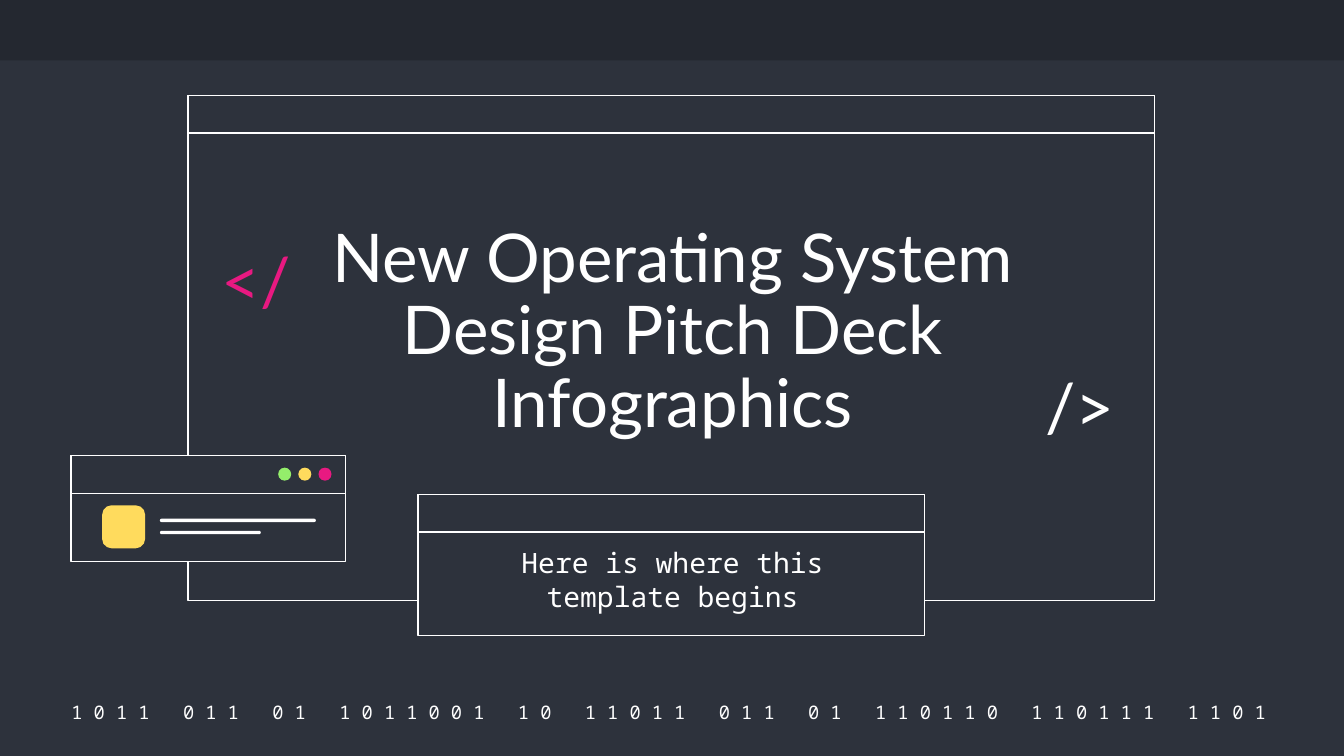
from pptx import Presentation
from pptx.dml.color import RGBColor
from pptx.enum.shapes import MSO_SHAPE
from pptx.enum.text import MSO_ANCHOR, PP_ALIGN
from pptx.util import Inches, Pt

CELL = Inches(0.1)
COLS, ROWS = 100, 56.25
BAR = 2.8
NAVY = RGBColor(0x2D, 0x32, 0x3C)
DARK = RGBColor(0x24, 0x28, 0x30)
WHITE = RGBColor(0xFF, 0xFF, 0xFF)
PINK = RGBColor(0xE8, 0x19, 0x81)
GOLD = RGBColor(0xFF, 0xDB, 0x5D)
GREEN = RGBColor(0x94, 0xEE, 0x6B)
SANS, MONO = "Lato", "Noto Sans Mono"
BITS = "1011 011 01 1011001 10 11011 011 01 110110 110111 1101"


def scale(box):
    return [round(n * CELL) for n in box]


def draw(slide, kind, box, fill, line=None):
    shape = slide.shapes.add_shape(kind, *scale(box))
    shape.shadow.inherit = False
    shape.fill.solid()
    shape.fill.fore_color.rgb = fill
    if line is None:
        shape.line.fill.background()
    else:
        shape.line.color.rgb = line
        shape.line.width = Pt(0.75)
    return shape


def style(run, font, size, color):
    run.font.name = font
    run.font.size = Pt(size)
    run.font.color.rgb = color


def write(slide, box, text, font, size, color=WHITE, anchor=MSO_ANCHOR.MIDDLE,
          align=PP_ALIGN.CENTER, lead=None):
    frame = slide.shapes.add_textbox(*scale(box)).text_frame
    frame.word_wrap = True
    frame.vertical_anchor = anchor
    frame.margin_left = frame.margin_right = CELL
    frame.margin_top = frame.margin_bottom = CELL
    frame.text = text
    para = frame.paragraphs[0]
    para.alignment = align
    para.line_spacing = lead
    for run in para.runs:
        style(run, font, size, color)
    return para


def window(slide, box):
    left, top, width, height = box
    draw(slide, MSO_SHAPE.RECTANGLE, box, NAVY, WHITE)
    draw(slide, MSO_SHAPE.RECTANGLE, (left, top, width, BAR), NAVY, WHITE)


def binary(slide, box):
    para = write(slide, box, "", MONO, 10)
    for index, word in enumerate(BITS.split()):
        if index:
            gap = para.add_run()
            gap.text = " "
            style(gap, MONO, 10, WHITE)
            gap.font._element.set("spc", "1200")
        run = para.add_run()
        run.text = " ".join(word)
        style(run, MONO, 10, WHITE)


def hero(slide, box):
    left, top, width, height = box
    window(slide, box)
    write(slide, (left + 8.6, top + 7, 54.9, 19.8),
          "New Operating System Design Pitch Deck Infographics",
          SANS, 36, anchor=MSO_ANCHOR.BOTTOM, lead=0.9)
    marks = [("</", PINK, 1.5, 10.8), ("/>", WHITE, 62.8, 20.2)]
    for text, color, col, row in marks:
        write(slide, (left + col, top + row, 7.7, 6.6), text,
              SANS, 36, color, align=PP_ALIGN.LEFT, lead=0.9)


def caption(slide, box):
    left, top, width, height = box
    window(slide, box)
    write(slide, (left + 2.3, top + BAR, 33.3, height - BAR),
          "Here is where this template begins", MONO, 15,
          anchor=MSO_ANCHOR.TOP)


def widget(slide, box):
    left, top, width, height = box
    window(slide, box)
    tile = draw(slide, MSO_SHAPE.ROUNDED_RECTANGLE,
                (left + 2.3, top + 3.7, 3.2, 3.2), GOLD)
    tile.adjustments[0] = 0.22
    for index, length in enumerate((11.6, 7.5)):
        bar = draw(slide, MSO_SHAPE.ROUNDED_RECTANGLE,
                   (left + 6.6, top + 4.7 + 0.9 * index, length, 0.25), WHITE)
        bar.adjustments[0] = 0.5
    for index, color in enumerate((GREEN, GOLD, PINK)):
        draw(slide, MSO_SHAPE.OVAL,
             (left + 15.4 + 1.5 * index, top + 0.9, 0.97, 0.97), color)


def main():
    deck = Presentation()
    deck.slide_width, deck.slide_height = scale((COLS, ROWS))
    slide = deck.slides.add_slide(deck.slide_layouts[6])
    slide.background.fill.solid()
    slide.background.fill.fore_color.rgb = NAVY
    draw(slide, MSO_SHAPE.RECTANGLE, (0, 0, COLS, 4.5), DARK)
    binary(slide, (3.4, 52, 92.7, 2))
    hero(slide, (14, 7.1, 71.9, 37.6))
    caption(slide, (31.1, 36.8, 37.7, 10.5))
    widget(slide, (5.3, 33.9, 20.4, 7.9))
    deck.save("out.pptx")


if __name__ == "__main__":
    main()
